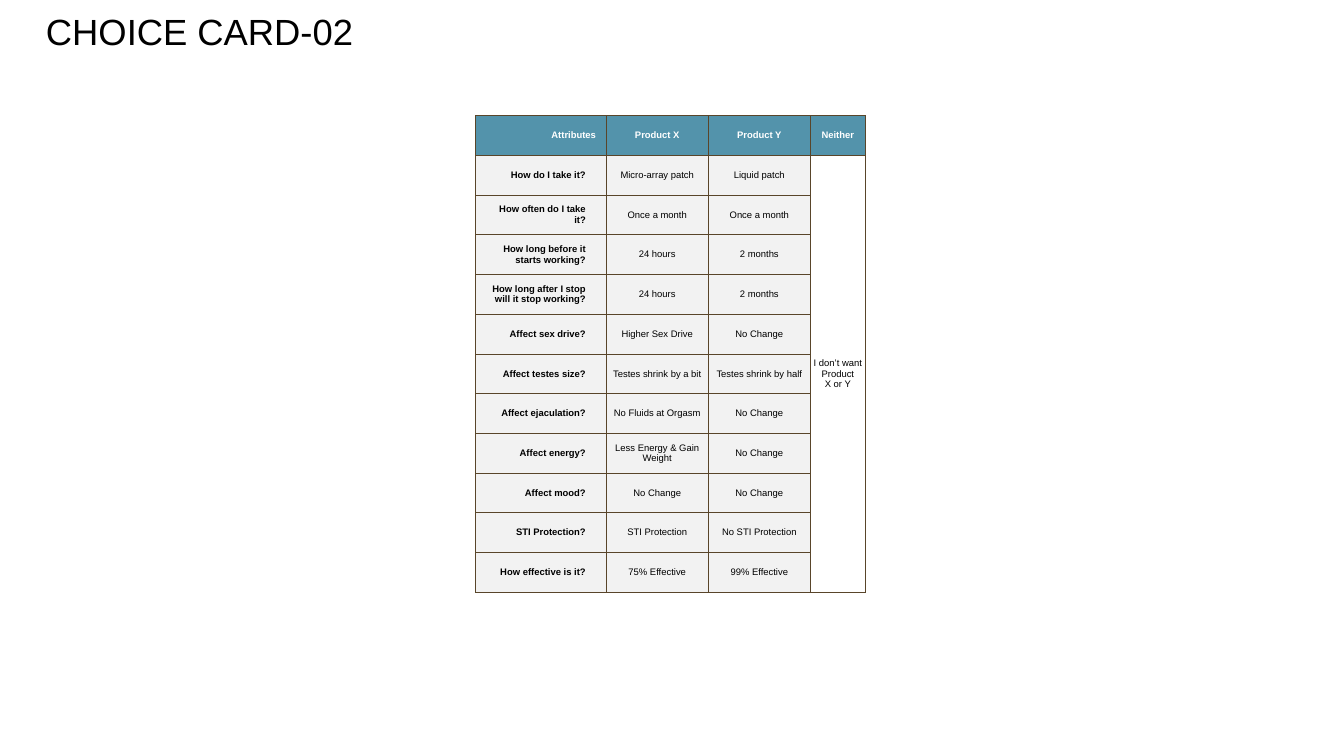
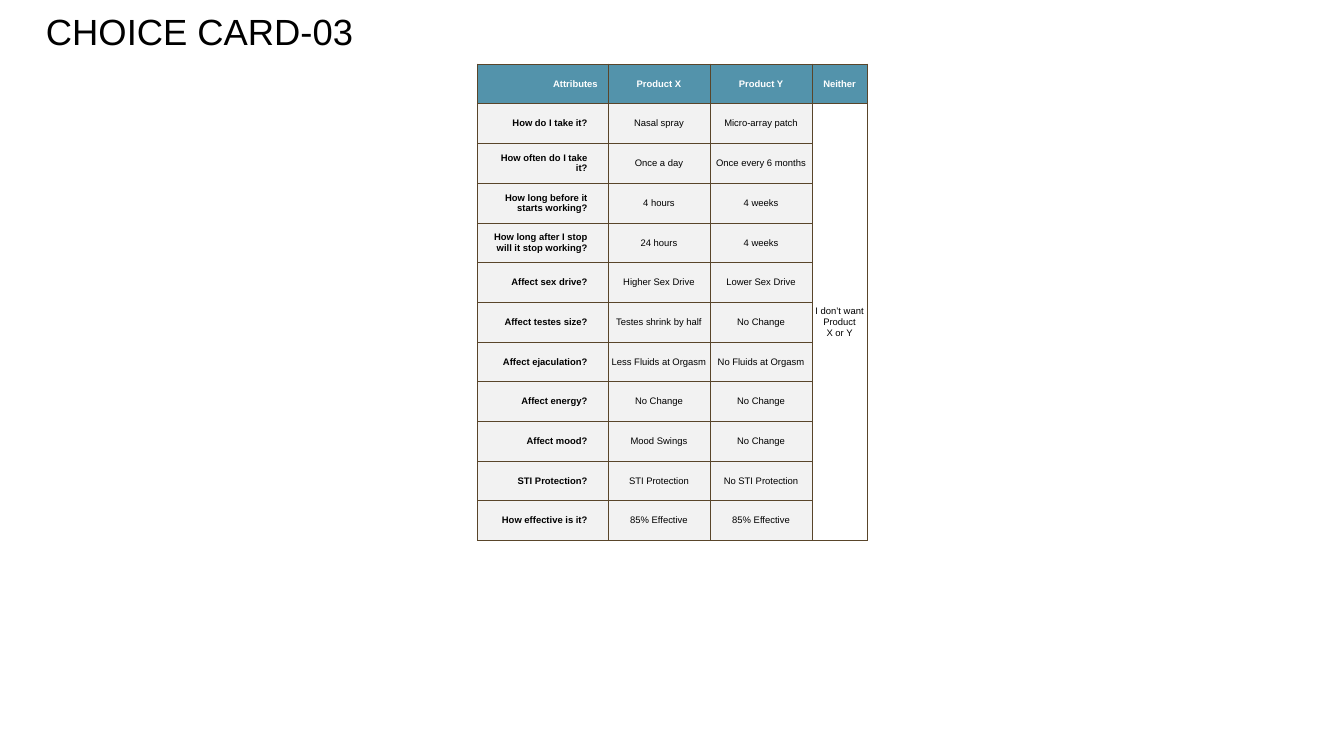
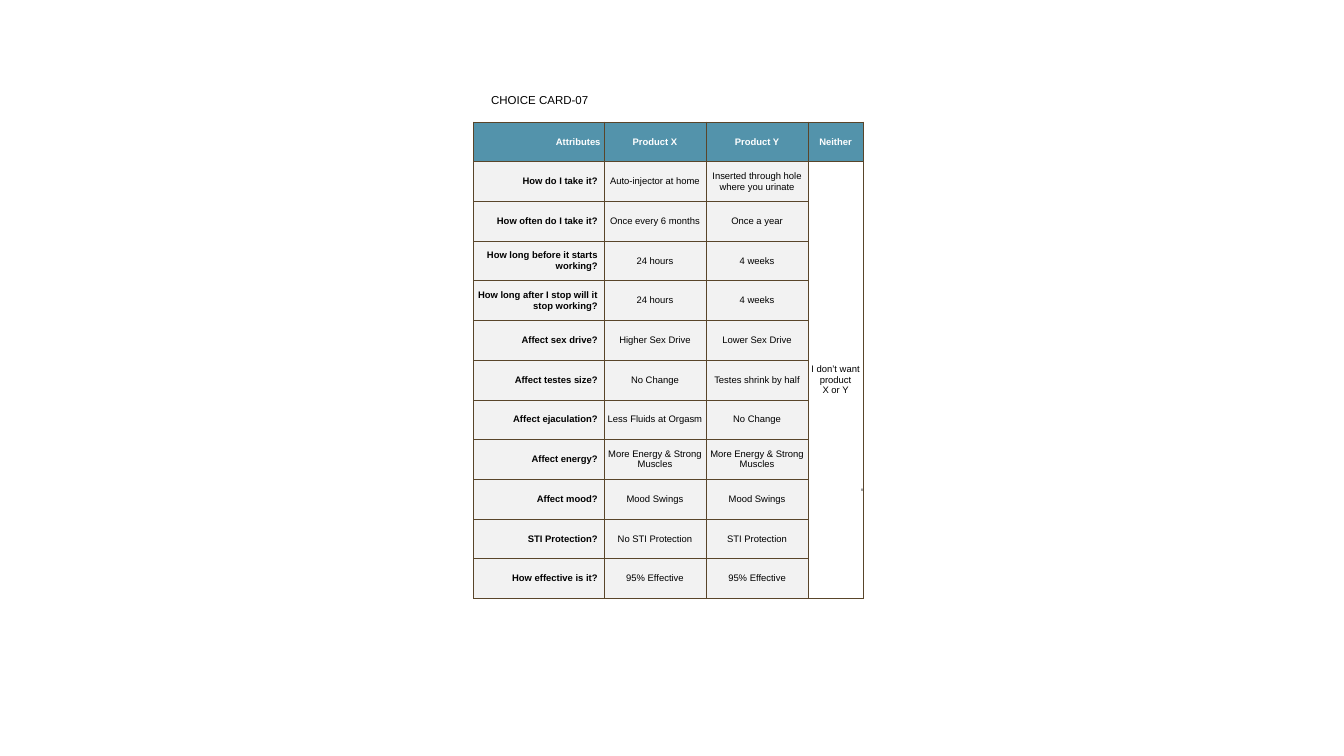
import dataclasses

import pptx
import pptx.dml.color
import pptx.enum.text
import pptx.oxml
import pptx.oxml.ns
import pptx.util

Inches = pptx.util.Inches
Pt = pptx.util.Pt
RGB = pptx.dml.color.RGBColor.from_string
ALIGN = pptx.enum.text.PP_ALIGN
ANCHOR = pptx.enum.text.MSO_ANCHOR


@dataclasses.dataclass(frozen=True)
class Theme:
    font: str = "Arial"
    ink: str = "000000"
    paper: str = "FFFFFF"
    header: str = "5393AB"
    band: str = "F2F2F2"
    border: str = "59452A"
    title_size: float = 46.2
    caption_size: float = 14.6
    table_size: float = 12
    number_size: float = 4.5
    title_leading: float = 30.7
    title_inset: float = 0.08
    border_width: float = 1


@dataclasses.dataclass(frozen=True)
class Padding:
    header: tuple
    question: tuple
    answer: tuple


ROOMY = Padding((0.18, 0.09, 0.18, 0.09), (0.18, 0.09, 0.36, 0.09), (0.04, 0.02, 0.04, 0.02))
TIGHT = Padding((0.06, 0.03, 0.06, 0.03), (0.06, 0.03, 0.11, 0.03), (0.01, 0.01, 0.01, 0.01))

COLUMN_WIDTHS = (2.3, 1.8, 1.8, 0.97)
ROW_HEIGHT = 0.7
HEADINGS = ("Attributes", "Product X", "Product Y", "Neither")
QUESTIONS = (
    "How do I take it?",
    "How often do I take it?",
    "How long before it starts working?",
    "How long after I stop will it stop working?",
    "Affect sex drive?",
    "Affect testes size?",
    "Affect ejaculation?",
    "Affect energy?",
    "Affect mood?",
    "STI Protection?",
    "How effective is it?",
)

CARD_02 = (
    ("Micro-array patch", "Liquid patch"),
    ("Once a month", "Once a month"),
    ("24 hours", "2 months"),
    ("24 hours", "2 months"),
    ("Higher Sex Drive", "No Change"),
    ("Testes shrink by a bit", "Testes shrink by half"),
    ("No Fluids at Orgasm", "No Change"),
    ("Less Energy & Gain Weight", "No Change"),
    ("No Change", "No Change"),
    ("STI Protection", "No STI Protection"),
    ("75% Effective", "99% Effective"),
)
CARD_03 = (
    ("Nasal spray", "Micro-array patch"),
    ("Once a day", "Once every 6 months"),
    ("4 hours", "4 weeks"),
    ("24 hours", "4 weeks"),
    ("Higher Sex Drive", "Lower Sex Drive"),
    ("Testes shrink by half", "No Change"),
    ("Less Fluids at Orgasm", "No Fluids at Orgasm"),
    ("No Change", "No Change"),
    ("Mood Swings", "No Change"),
    ("STI Protection", "No STI Protection"),
    ("85% Effective", "85% Effective"),
)
CARD_07 = (
    ("Auto-injector at home", "Inserted through hole where you urinate"),
    ("Once every 6 months", "Once a year"),
    ("24 hours", "4 weeks"),
    ("24 hours", "4 weeks"),
    ("Higher Sex Drive", "Lower Sex Drive"),
    ("No Change", "Testes shrink by half"),
    ("Less Fluids at Orgasm", "No Change"),
    ("More Energy & Strong Muscles", "More Energy & Strong Muscles"),
    ("Mood Swings", "Mood Swings"),
    ("No STI Protection", "STI Protection"),
    ("95% Effective", "95% Effective"),
)


class ChoiceDeck:
    """Builds choice card slides in one shared style."""

    def __init__(self, theme):
        self.theme = theme
        self.deck = pptx.Presentation()
        self.deck.slide_width = Inches(23.7)
        self.deck.slide_height = Inches(13.33)
        self.slide = None

    def new_slide(self):
        self.slide = self.deck.slides.add_slide(self.deck.slide_layouts[5])

    def set_text(self, frame, text, size, align, color, bold=False):
        frame.text = text
        frame.word_wrap = True
        for paragraph in frame.paragraphs:
            paragraph.alignment = align
            for run in paragraph.runs:
                run.font.name = self.theme.font
                run.font.size = Pt(size)
                run.font.bold = bold
                run.font.color.rgb = RGB(color)

    def pad(self, holder, insets):
        left, top, right, bottom = map(Inches, insets)
        holder.margin_left, holder.margin_right = left, right
        holder.margin_top, holder.margin_bottom = top, bottom

    def title(self, text, box, size):
        heading = self.slide.shapes.title
        heading.left, heading.top, heading.width, heading.height = map(Inches, box)
        frame = heading.text_frame
        self.set_text(frame, text, size, ALIGN.LEFT, self.theme.ink)
        self.pad(frame, (self.theme.title_inset,) * 4)
        frame.vertical_anchor = ANCHOR.TOP
        frame.auto_size = pptx.enum.text.MSO_AUTO_SIZE.NONE
        frame.paragraphs[0].line_spacing = Pt(self.theme.title_leading)

    def outline(self, cell):
        properties = cell._tc.get_or_add_tcPr()
        for position, side in enumerate(("lnL", "lnR", "lnT", "lnB")):
            properties.insert(position, pptx.oxml.parse_xml(
                f'<a:{side} {pptx.oxml.ns.nsdecls("a")} w="{Pt(self.theme.border_width)}">'
                f'<a:solidFill><a:srgbClr val="{self.theme.border}"/></a:solidFill></a:{side}>'))

    def cell(self, cell, text, insets, fill, align=ALIGN.CENTER, color=None, bold=False):
        self.set_text(cell.text_frame, text, self.theme.table_size, align,
                      color or self.theme.ink, bold)
        self.pad(cell, insets)
        cell.vertical_anchor = ANCHOR.MIDDLE
        cell.fill.solid()
        cell.fill.fore_color.rgb = RGB(fill)

    def card(self, left, top, answers, neither, padding):
        theme = self.theme
        row_count = len(QUESTIONS) + 1
        table = self.slide.shapes.add_table(
            row_count, len(HEADINGS), Inches(left), Inches(top),
            Inches(sum(COLUMN_WIDTHS)), Inches(ROW_HEIGHT * row_count)).table
        table.horz_banding = False
        for column, width in zip(table.columns, COLUMN_WIDTHS):
            column.width = Inches(width)
        for row in table.rows:
            row.height = Inches(ROW_HEIGHT)
        for index, heading in enumerate(HEADINGS):
            self.cell(table.cell(0, index), heading, padding.header, theme.header,
                      ALIGN.CENTER if index else ALIGN.RIGHT, theme.paper, True)
        for index, (question, choices) in enumerate(zip(QUESTIONS, answers), 1):
            self.cell(table.cell(index, 0), question, padding.question, theme.band,
                      ALIGN.RIGHT, bold=True)
            for product, choice in enumerate(choices, 1):
                self.cell(table.cell(index, product), choice, padding.answer, theme.band)
        last = len(HEADINGS) - 1
        table.cell(1, last).merge(table.cell(row_count - 1, last))
        self.cell(table.cell(1, last), neither, padding.answer, theme.paper)
        for cell in table.iter_cells():
            self.outline(cell)

    def page_number(self, text, box):
        number = self.slide.shapes.add_textbox(*map(Inches, box))
        self.set_text(number.text_frame, text, self.theme.number_size, ALIGN.RIGHT,
                      self.theme.ink)
        self.pad(number.text_frame, (0.03,) * 4)

    def save(self):
        self.deck.save("out.pptx")


def main():
    theme = Theme()
    cards = ChoiceDeck(theme)
    top_title = (0.73, 0.42, 18.05, 0.74)
    neither = "I don’t want Product\nX or Y"

    cards.new_slide()
    cards.title("CHOICE CARD-02", top_title, theme.title_size)
    cards.card(8.39, 2.04, CARD_02, neither, ROOMY)

    cards.new_slide()
    cards.title("CHOICE CARD-03", top_title, theme.title_size)
    cards.card(8.42, 1.13, CARD_03, neither, ROOMY)

    cards.new_slide()
    cards.title("CHOICE CARD-07", (8.58, 1.37, 5.71, 0.23), theme.caption_size)
    cards.card(8.35, 2.15, CARD_07, "I don’t want product\nX or Y", TIGHT)
    cards.page_number("8", (15.06, 8.57, 0.19, 0.12))

    cards.save()


if __name__ == "__main__":
    main()
